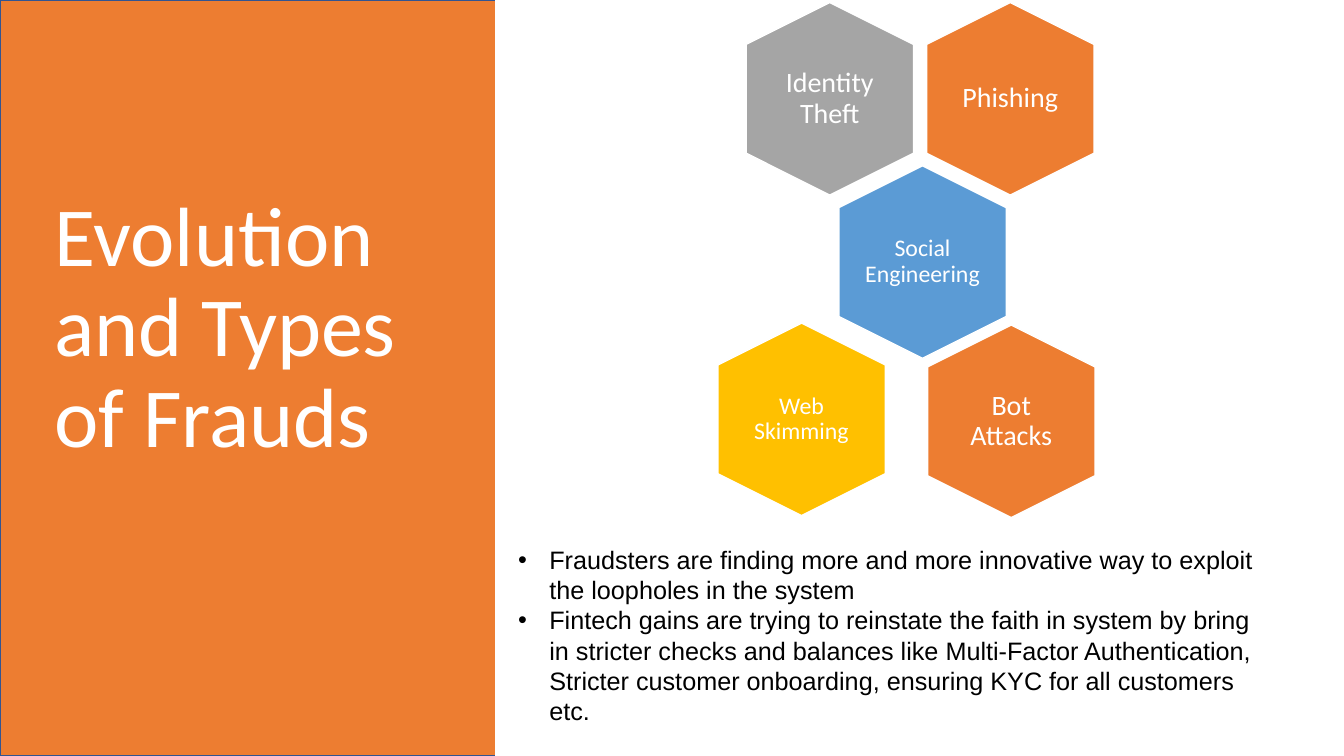
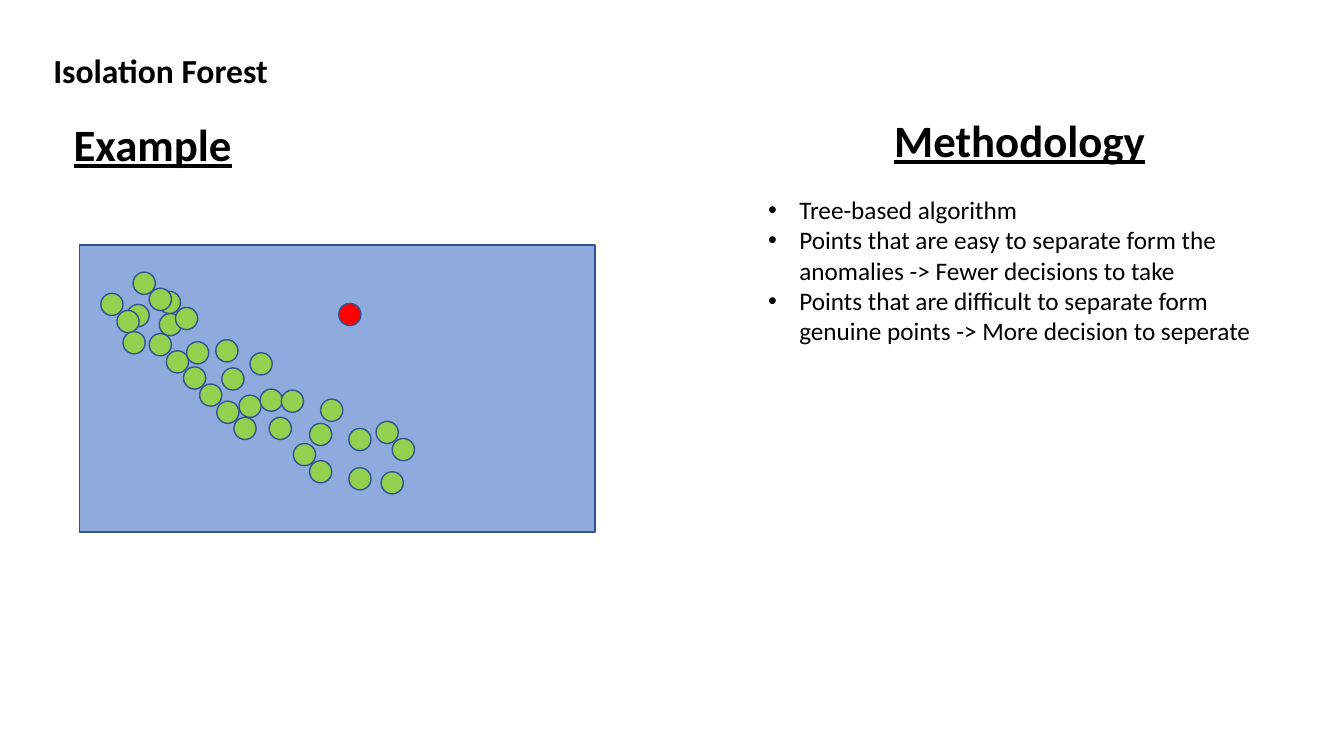
from lxml import etree
from pptx import Presentation
from pptx import util as u
from pptx.dml.color import RGBColor
from pptx.enum import shapes, text
from pptx.oxml import ns

ORANGE, GRAY, YELLOW, BLUE = "ED7D31", "A5A5A5", "FFC000", "5B9BD5"
LIGHT_BLUE, OUTLINE = "8FAADC", "325491"
GREEN, RED = "92D050", "FF0000"
BLACK, WHITE = "000000", "FFFFFF"

HEXAGON_LENGTH, HEXAGON_WIDTH = 1.91, 1.66
LABEL_WIDTH, LABEL_HEIGHT = 1.2, 1.32
POINT_SIZE = 0.22

# Centre x, centre y, label, text size, fill
FRAUD_TYPES = [
    (10.02, 0.98, "Phishing", 20, ORANGE),
    (8.23, 0.98, "Identity Theft", 20, GRAY),
    (7.95, 4.16, "Web Skimming", 17, YELLOW),
    (9.15, 2.6, "Social Engineering", 17, BLUE),
    (10.03, 4.18, "Bot Attacks", 20, ORANGE),
]

# Left and top of each genuine point, from back to front
GENUINE_POINTS = [
    (1.32, 2.7), (1, 2.91), (1.58, 3.11), (1.26, 3.02), (1.57, 2.89),
    (1.16, 3.08), (1.48, 3.31), (1.22, 3.29), (1.74, 3.05), (1.65, 3.48),
    (1.48, 2.86), (1.82, 3.64), (1.98, 3.81), (2.37, 3.92), (2.2, 3.65),
    (2.15, 3.98), (2.32, 4.14), (2.58, 3.86), (2.79, 3.87), (2.67, 4.14),
    (3.18, 3.96), (1.85, 3.39), (2.48, 3.5), (3.07, 4.2), (2.91, 4.4),
    (2.14, 3.37), (3.07, 4.57), (3.46, 4.25), (3.46, 4.64), (3.78, 4.68),
    (3.73, 4.18), (3.89, 4.35),
]
ANOMALY = (3.36, 3.01)


def rgb(value):
    return RGBColor.from_string(value)


class Deck:
    """Holds the presentation, its text style and the current slide."""

    def __init__(self):
        self.presentation = Presentation()
        self.presentation.slide_width = u.Inches(13.33)
        self.presentation.slide_height = u.Inches(7.5)
        self.slide = None

    def new_slide(self):
        layout = self.presentation.slide_layouts.get_by_name("Title Only")
        self.slide = self.presentation.slides.add_slide(layout)

    def format_text(self, frame, size, color=BLACK, font="Calibri", bold=False,
                    underline=False, align=text.PP_ALIGN.LEFT, spacing=1.0):
        frame.word_wrap = True
        for paragraph in frame.paragraphs:
            paragraph.alignment = align
            paragraph.line_spacing = spacing
            for run in paragraph.runs:
                run.font.size = u.Pt(size)
                run.font.name = font
                run.font.color.rgb = rgb(color)
                run.font.bold = bold
                run.font.underline = underline

    def title(self, box, wording, size, **style):
        """Place the title in front of everything drawn so far."""
        title = self.slide.shapes.title
        title.left, title.top, title.width, title.height = map(u.Inches, box)
        frame = title.text_frame
        frame.text = wording
        frame.auto_size = text.MSO_AUTO_SIZE.NONE
        frame.vertical_anchor = text.MSO_ANCHOR.MIDDLE
        self.format_text(frame, size, **style)
        title.element.getparent().append(title.element)

    def text_box(self, box, wording, size, **style):
        frame = self.slide.shapes.add_textbox(*map(u.Inches, box)).text_frame
        frame.text = wording
        self.format_text(frame, size, **style)
        return frame

    def bullets(self, box, items, size, **style):
        frame = self.text_box(box, "\n".join(items), size, **style)
        indent = u.Inches(0.31)
        for paragraph in frame.paragraphs:
            properties = paragraph._p.get_or_add_pPr()
            properties.set("marL", str(indent))
            properties.set("indent", str(-indent))
            etree.SubElement(properties, ns.qn("a:buFont"), typeface="Arial")
            etree.SubElement(properties, ns.qn("a:buChar"), char="•")

    def shape(self, kind, box, fill, line=OUTLINE):
        shape = self.slide.shapes.add_shape(kind, *map(u.Inches, box))
        shape.shadow.inherit = False
        shape.fill.solid()
        shape.fill.fore_color.rgb = rgb(fill)
        shape.line.color.rgb = rgb(line)
        shape.line.width = u.Pt(1)
        return shape

    def rectangle(self, box, fill, line=OUTLINE):
        self.shape(shapes.MSO_SHAPE.RECTANGLE, box, fill, line)

    def point(self, left, top, fill):
        self.shape(shapes.MSO_SHAPE.OVAL, (left, top, POINT_SIZE, POINT_SIZE), fill)

    def hexagon(self, x, y, label, size, fill):
        """Draw an upright hexagon centred on x, y with a level label."""
        box = (x - HEXAGON_LENGTH / 2, y - HEXAGON_WIDTH / 2, HEXAGON_LENGTH, HEXAGON_WIDTH)
        self.shape(shapes.MSO_SHAPE.HEXAGON, box, fill, WHITE).rotation = 90
        box = (x - LABEL_WIDTH / 2, y - LABEL_HEIGHT / 2, LABEL_WIDTH, LABEL_HEIGHT)
        frame = self.text_box(box, label, size, color=WHITE,
                              align=text.PP_ALIGN.CENTER, spacing=0.9)
        frame.margin_left = frame.margin_right = 0
        frame.margin_top = frame.margin_bottom = 0
        frame.vertical_anchor = text.MSO_ANCHOR.MIDDLE


def add_fraud_types(deck):
    deck.new_slide()
    for fraud_type in FRAUD_TYPES:
        deck.hexagon(*fraud_type)
    deck.rectangle((0, 0, 4.92, 7.5), ORANGE)
    deck.rectangle((4.92, 0, 0.65, 7.5), WHITE, WHITE)
    deck.bullets((5.04, 5.35, 7.52, 2.22), [
        "Fraudsters are finding more and more innovative way to exploit "
        "the loopholes in the system",
        "Fintech gains are trying to reinstate the faith in system by bring in "
        "stricter checks and balances like Multi-Factor Authentication, Stricter "
        "customer onboarding, ensuring KYC for all customers etc.",
    ], 18, font="Arial")
    deck.title((0.44, 0.26, 4.16, 6.02), "Evolution and Types of Frauds", 60,
               color=WHITE, spacing=0.9)


def add_isolation_forest(deck):
    heading = {"size": 32, "bold": True, "underline": True}
    deck.new_slide()
    deck.title((0.63, 1.07, 2.13, 0.71), "Example", **heading)
    deck.text_box((0.43, 0.45, 7.98, 0.5), "Isolation Forest", 24, bold=True)
    deck.rectangle((0.79, 2.43, 5.11, 2.85), LIGHT_BLUE)
    for left, top in GENUINE_POINTS:
        deck.point(left, top, GREEN)
    deck.point(*ANOMALY, RED)
    deck.text_box((8.77, 1.07, 3.14, 0.64), "Methodology", **heading)
    deck.bullets((7.52, 1.88, 5.2, 1.62), [
        "Tree-based algorithm",
        "Points that are easy to separate form the anomalies -> Fewer decisions to take",
        "Points that are difficult to separate form genuine points -> "
        "More decision to seperate",
    ], 18)


def main():
    deck = Deck()
    add_fraud_types(deck)
    add_isolation_forest(deck)
    deck.presentation.save("out.pptx")


if __name__ == "__main__":
    main()
